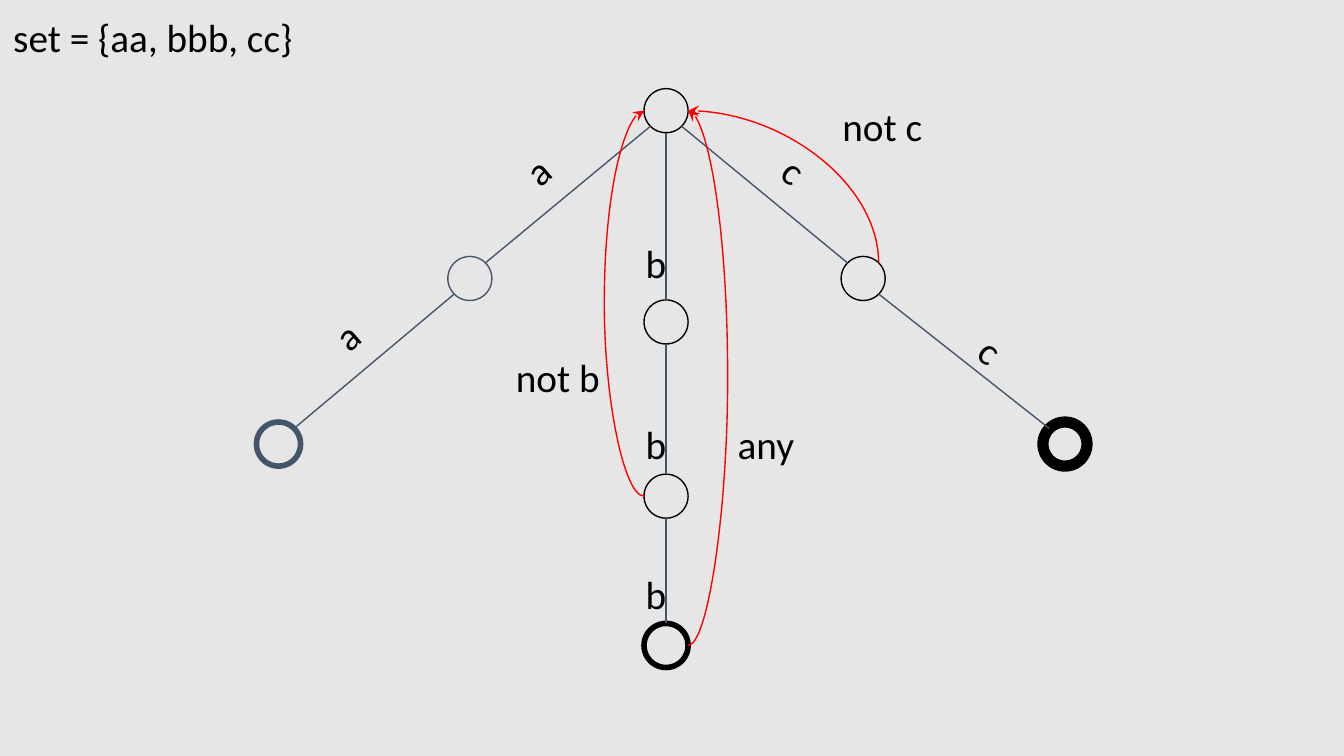
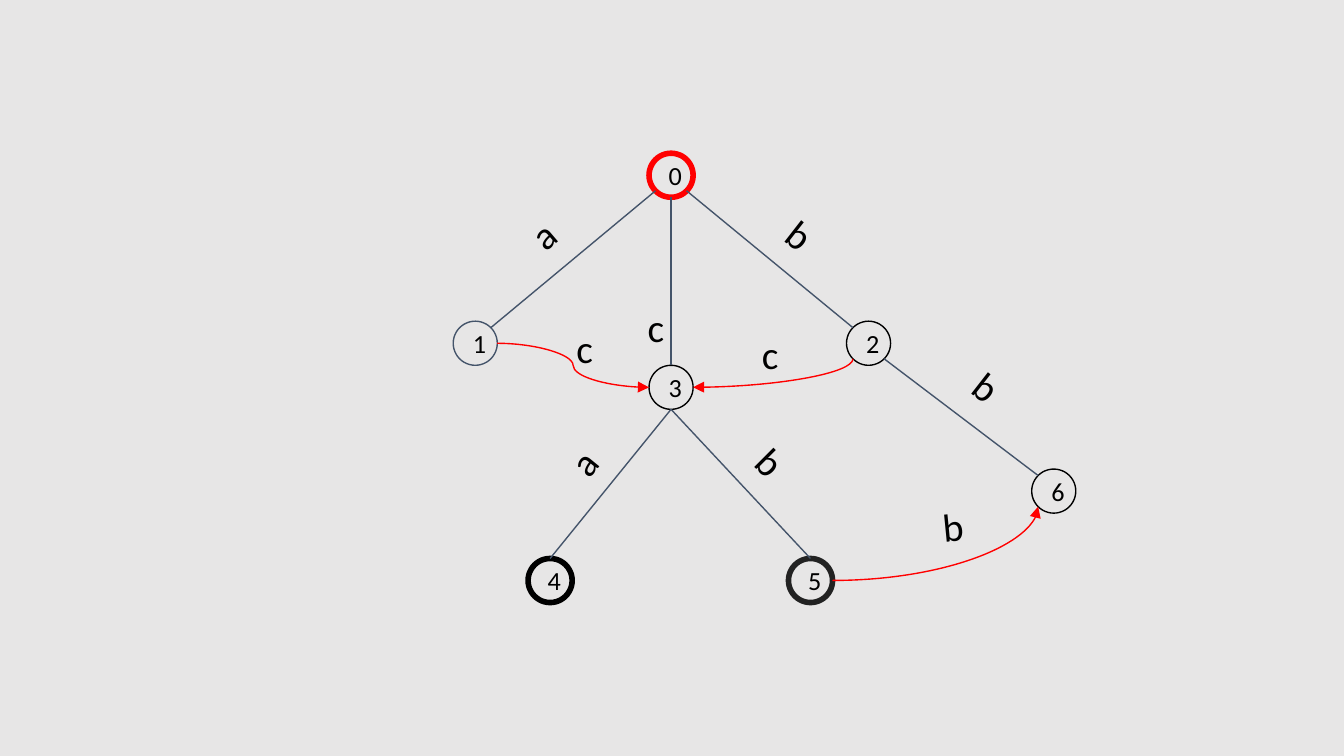
"""Build two slides showing a word trie and a numbered automaton."""
from math import cos, radians, sin

from lxml import etree
from pptx import Presentation
from pptx.dml.color import RGBColor
from pptx.enum.shapes import MSO_CONNECTOR, MSO_SHAPE
from pptx.enum.text import MSO_ANCHOR, MSO_AUTO_SIZE, PP_ALIGN
from pptx.oxml.ns import qn
from pptx.util import Pt

OVAL = MSO_SHAPE.OVAL
STRAIGHT, CURVE = MSO_CONNECTOR.STRAIGHT, MSO_CONNECTOR.CURVE
LEFT, CENTER, MIDDLE = PP_ALIGN.LEFT, PP_ALIGN.CENTER, MSO_ANCHOR.MIDDLE
GROW = MSO_AUTO_SIZE.SHAPE_TO_FIT_TEXT

GRAY, BLACK, SLATE, RED, CHARCOAL = "E7E6E6", "000000", "44546A", "FF0000", "222222"
FONT = "Calibri"
DIAMETER = 23.6
LABEL_WIDTH, LABEL_HEIGHT = 63.4, 40.3
TOP, TOP_LEFT, SIDE_LEFT, BOTTOM_LEFT, BOTTOM, BOTTOM_RIGHT, SIDE_RIGHT, TOP_RIGHT = range(8)
ELBOW, LOOP = "curvedConnector2", "curvedConnector3"


def paint(hex_color):
    return RGBColor.from_string(hex_color)


def write(box, text, size, align):
    frame = box.text_frame
    frame.word_wrap = True
    frame.margin_left = frame.margin_right = frame.margin_top = frame.margin_bottom = Pt(7.2)
    frame.text = text
    para = frame.paragraphs[0]
    para.alignment = align
    for span in para.runs:
        span.font.name = FONT
        span.font.size = Pt(size)
        span.font.color.rgb = paint(BLACK)


trie = {
    "numbered": False,
    "arrow": "stealth",
    "nodes": {
        "root": (345, 47.5, BLACK, 0.75),
        "a": (239.9, 137.4, SLATE, 0.75),
        "b": (345, 160.7, BLACK, 0.75),
        "c": (450.6, 137.4, BLACK, 0.75),
        "aa": (137.4, 226.1, SLATE, 3),
        "bb": (345, 254, BLACK, 0.75),
        "bbb": (345, 334, BLACK, 3),
        "cc": (558.7, 226.1, BLACK, 6),
    },
    "edges": [
        ("root", BOTTOM_RIGHT, "c", TOP_LEFT),
        ("a", TOP_RIGHT, "root", BOTTOM_LEFT),
        ("root", BOTTOM, "b", TOP),
        ("aa", TOP_RIGHT, "a", BOTTOM_LEFT),
        ("b", BOTTOM, "bb", TOP),
        ("bb", BOTTOM, "bbb", TOP),
        ("c", BOTTOM_RIGHT, "cc", TOP_LEFT),
    ],
    "jumps": [
        ("bbb", SIDE_RIGHT, "root", SIDE_RIGHT, LOOP, 375, False),
        ("bb", SIDE_LEFT, "root", SIDE_LEFT, LOOP, -375, False),
        ("c", TOP_RIGHT, "root", SIDE_RIGHT, ELBOW, None, True),
    ],
    "labels": [
        ("a", 256.3, 71.3, 319.4), ("c", 393.8, 71.3, 38), ("b", 319.7, 121, 0),
        ("a", 154.1, 159.8, 319.4), ("b", 319.7, 218.2, 0), ("b", 319.7, 298.1, 0),
        ("c", 499, 167.8, 38),
    ],
    "notes": [
        ("set = {aa, bbb, cc}", 0, 0, 522), ("any", 388.1, 218.2, 50.4),
        ("not b", 269.3, 182.2, 62), ("not c", 444.2, 47.5, 62),
    ],
}
automaton = {
    "numbered": True,
    "arrow": "triangle",
    "nodes": {
        "0": (347.7, 82.1, RED, 3),
        "1": (242.8, 172.1, SLATE, 0.75),
        "4": (282.9, 299.2, BLACK, 3),
        "3": (347.7, 195.7, BLACK, 0.75),
        "2": (453.5, 172.1, BLACK, 0.75),
        "5": (422.4, 299.2, CHARCOAL, 3),
        "6": (552.7, 251.3, BLACK, 0.75),
    },
    "edges": [
        ("0", BOTTOM_RIGHT, "2", TOP_LEFT),
        ("1", TOP_RIGHT, "0", BOTTOM_LEFT),
        ("0", BOTTOM, "3", TOP),
        ("3", BOTTOM, "4", TOP),
        ("3", BOTTOM, "5", TOP),
        ("2", BOTTOM_RIGHT, "6", TOP_LEFT),
    ],
    "jumps": [
        ("1", SIDE_RIGHT, "3", SIDE_LEFT, LOOP, 0.5, False),
        ("2", BOTTOM_LEFT, "3", SIDE_RIGHT, ELBOW, None, True),
        ("5", SIDE_RIGHT, "6", BOTTOM_LEFT, ELBOW, None, False),
    ],
    "labels": [
        ("a", 259.2, 105.8, 319.4), ("b", 396.7, 105.8, 38), ("c", 319.7, 155.5, 0),
        ("b", 380.9, 227.5, 45), ("a", 280.8, 227.5, 309.2), ("c", 281.5, 166.3, 0),
        ("c", 380.9, 169.9, 0), ("b", 496.8, 187.2, 38), ("b", 478.8, 262.1, 354.4),
    ],
    "notes": [],
}

deck = Presentation()
deck.slide_width, deck.slide_height = Pt(720), Pt(405)

for graph in (trie, automaton):
    page = deck.slides.add_slide(deck.slide_layouts[6])
    page.background.fill.solid()
    page.background.fill.fore_color.rgb = paint(GRAY)

    circles = {}
    for name, (left, top, color, weight) in graph["nodes"].items():
        circle = page.shapes.add_shape(OVAL, Pt(left), Pt(top), Pt(DIAMETER), Pt(DIAMETER))
        circle.shadow.inherit = False
        circle.fill.solid()
        circle.fill.fore_color.rgb = paint(GRAY)
        circle.line.color.rgb = paint(color)
        circle.line.width = Pt(weight)
        if graph["numbered"]:
            write(circle, name, 14, CENTER)
            circle.text_frame.vertical_anchor = MIDDLE
        circles[name] = circle

    edges = [edge + (None, None, False) for edge in graph["edges"]]
    for start, start_site, end, end_site, bend, adjust, turned in edges + graph["jumps"]:
        ends = []
        for name, site in ((start, start_site), (end, end_site)):
            left, top = graph["nodes"][name][:2]
            angle = radians(90 + 45 * site)
            ends.append((left + DIAMETER / 2 * (1 + cos(angle)),
                         top + DIAMETER / 2 * (1 - sin(angle))))
        if turned:
            middle_x = (ends[0][0] + ends[1][0]) / 2
            middle_y = (ends[0][1] + ends[1][1]) / 2
            ends = [(middle_x + y - middle_y, middle_y - x + middle_x) for x, y in ends]
        (x1, y1), (x2, y2) = ends
        link = page.shapes.add_connector(CURVE if bend else STRAIGHT,
                                         Pt(x1), Pt(y1), Pt(x2), Pt(y2))
        link.line.color.rgb = paint(RED if bend else SLATE)
        link.line.width = Pt(0.75)
        element = link._element
        joints = element.find(".//" + qn("p:cNvCxnSpPr"))
        for tag, name, site in (("a:stCxn", start, start_site), ("a:endCxn", end, end_site)):
            etree.SubElement(joints, qn(tag), id=str(circles[name].shape_id), idx=str(site))
        if bend:
            geometry = element.find(".//" + qn("a:prstGeom"))
            geometry.set("prst", bend)
            outline = element.find(".//" + qn("a:ln"))
            etree.SubElement(outline, qn("a:tailEnd"), type=graph["arrow"])
            if adjust:
                link.width = max(link.width, Pt(0.05))
                etree.SubElement(geometry.find(qn("a:avLst")), qn("a:gd"),
                                 name="adj1", fmla=f"val {round(adjust * 100000)}")
            if turned:
                link.rotation = 90
        etree.SubElement(element.spPr, qn("a:effectLst"))

    texts = [(text, left, top, LABEL_WIDTH, turn, CENTER)
             for text, left, top, turn in graph["labels"]]
    texts += [(text, left, top, width, 0, LEFT) for text, left, top, width in graph["notes"]]
    for text, left, top, width, turn, align in texts:
        box = page.shapes.add_textbox(Pt(left), Pt(top), Pt(width), Pt(LABEL_HEIGHT))
        write(box, text, 21, align)
        box.text_frame.auto_size = GROW
        box.rotation = turn

deck.save("out.pptx")
